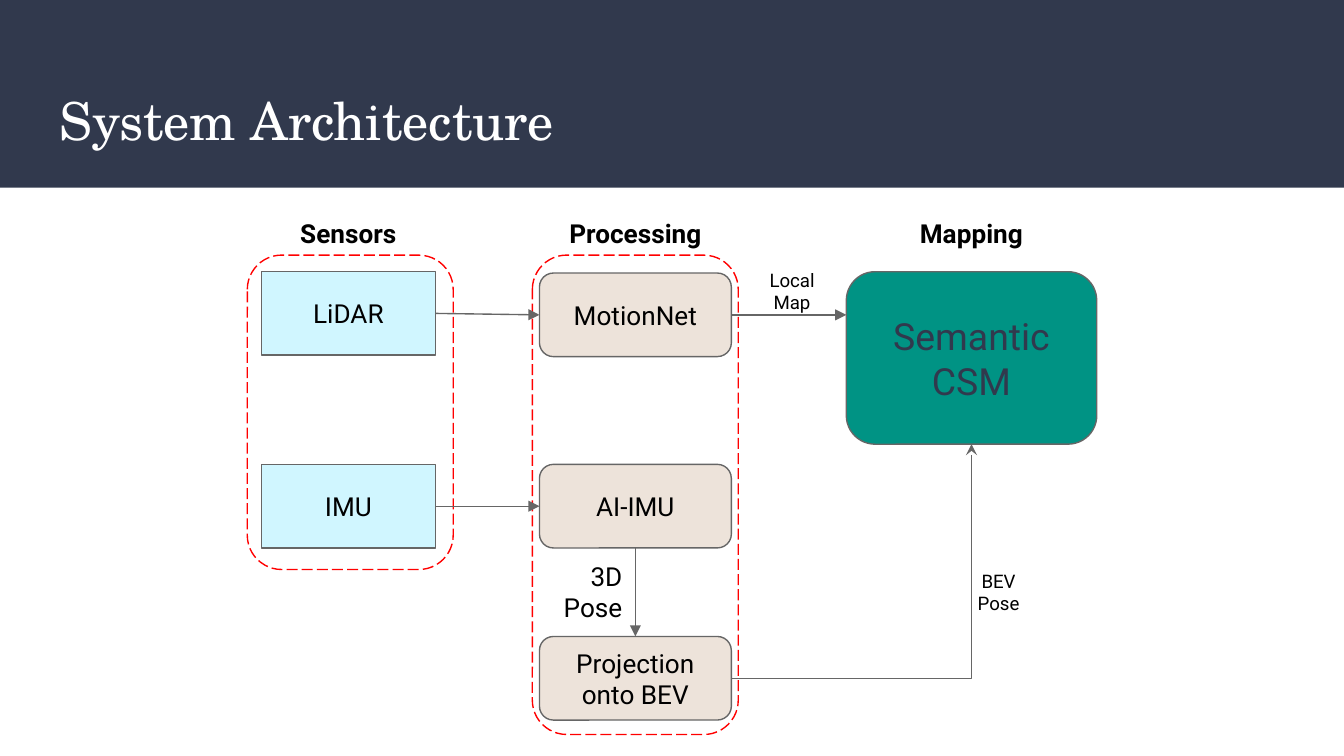
"""Build the System Architecture slide."""
import pptx
import pptx.util
import pptx.dml.color
import pptx.enum.dml
import pptx.enum.shapes
import pptx.enum.text
import pptx.oxml
import pptx.oxml.ns

Pt = pptx.util.Pt
KIND = pptx.enum.shapes.MSO_SHAPE
WIRE = pptx.enum.shapes.MSO_CONNECTOR
ALIGN = pptx.enum.text.PP_ALIGN
FIT = pptx.enum.text.MSO_AUTO_SIZE
MIDDLE = pptx.enum.text.MSO_ANCHOR.MIDDLE
NS = pptx.oxml.ns.nsdecls("a")
TOP, LEFT, BOTTOM, RIGHT = range(4)
HUES = {
    "navy": "31394D", "white": "FFFFFF", "black": "000000", "grey": "666666",
    "sky": "D0F6FF", "sand": "EDE3DA", "teal": "009384", "red": "FF0000",
}


def hue(name):
    """Return the named colour."""
    return pptx.dml.color.RGBColor.from_string(HUES[name])


def write(shape, text, size, color="black", font="Roboto", bold=False, align=ALIGN.CENTER):
    """Put one formatted paragraph into a shape."""
    frame = shape.text_frame
    frame.text = text
    frame.word_wrap = True
    frame.margin_left = frame.margin_right = Pt(7.2)
    frame.margin_top = frame.margin_bottom = Pt(7.2)
    para = frame.paragraphs[0]
    para.alignment = align
    para.font.name, para.font.size, para.font.bold = font, Pt(size), bold
    para.font.color.rgb = hue(color)


def stroke(line, color="grey"):
    """Give a line its colour and width."""
    line.color.rgb = hue(color)
    line.width = Pt(0.75)


def panel(slide, kind, area, fill=None):
    """Add a flat shape without an outline."""
    shape = slide.shapes.add_shape(kind, *map(Pt, area))
    shape.shadow.inherit = False
    if fill:
        shape.fill.solid()
        shape.fill.fore_color.rgb = hue(fill)
    else:
        shape.fill.background()
    shape.line.fill.background()
    return shape


def block(slide, kind, text, area, fill, size=14, color="black"):
    """Add an outlined box with centred text."""
    shape = panel(slide, kind, area, fill)
    stroke(shape.line)
    write(shape, text, size, color)
    shape.text_frame.vertical_anchor = MIDDLE
    return shape


def group(slide, area):
    """Add a dashed red frame."""
    shape = panel(slide, KIND.ROUNDED_RECTANGLE, area)
    stroke(shape.line, "red")
    shape.line.dash_style = pptx.enum.dml.MSO_LINE.LONG_DASH


def label(slide, text, area, size=14, **style):
    """Add a free text label."""
    box = slide.shapes.add_textbox(*map(Pt, area))
    write(box, text, size, **style)
    box.text_frame.auto_size = FIT.SHAPE_TO_FIT_TEXT


def arrow(slide, start, side, end, dock=None, spot=(0, 0), kind=WIRE.STRAIGHT, head="triangle"):
    """Join two boxes, or a box and a spot, with an arrow."""
    link = slide.shapes.add_connector(kind, 0, 0, *map(Pt, spot))
    link.begin_connect(start, side)
    if dock is not None:
        link.end_connect(end, dock)
    stroke(link.line)
    tree = link.element.spPr
    edge = link.line.fill and tree.find(pptx.oxml.ns.qn("a:ln"))
    edge.append(pptx.oxml.parse_xml(f'<a:tailEnd {NS} type="{head}"/>'))
    tree.append(pptx.oxml.parse_xml(f"<a:effectLst {NS}/>"))
    if kind == WIRE.ELBOW:
        tree.find(pptx.oxml.ns.qn("a:prstGeom")).set("prst", "bentConnector2")


def header(slide):
    """Add the dark band and the title."""
    title = slide.shapes.title
    title.left, title.top, title.width, title.height = map(Pt, (24.5, 39.6, 671, 49))
    write(title, "System Architecture", 28, "white", "TeX Gyre Schola", align=ALIGN.LEFT)
    title.text_frame.auto_size = FIT.NONE
    band = panel(slide, KIND.RECTANGLE, (0, 0, 720, 100.5), "navy")
    title.element.addprevious(band.element)


def main():
    """Build and save the slide."""
    deck = pptx.Presentation()
    deck.slide_width, deck.slide_height = Pt(720), Pt(405)
    slide = deck.slides.add_slide(deck.slide_layouts[5])
    header(slide)

    lidar, imu = [
        block(slide, KIND.RECTANGLE, text, (140, y, 93.3, 44.8), "sky")
        for text, y in (("LiDAR", 145.5), ("IMU", 248.8))
    ]
    motion, pose, bev = [
        block(slide, KIND.ROUNDED_RECTANGLE, text, (289, y, 102.8, 44.8), "sand")
        for text, y in (("MotionNet", 146.3), ("AI-IMU", 248.8), ("Projection onto BEV", 341))
    ]
    csm = block(slide, KIND.ROUNDED_RECTANGLE, "Semantic CSM",
                (453.4, 145.6, 134.2, 92.4), "teal", 20, "navy")

    for text, mid in (("Sensors", 186.6), ("Processing", 340.4), ("Mapping", 520.4)):
        label(slide, text, (mid - 46.5, 109.5, 93, 31.7), bold=True)
    for x, tall in ((132.5, 168.4), (285.2, 256.8)):
        group(slide, (x, 136.7, 110.3, tall))

    arrow(slide, lidar, RIGHT, motion, LEFT)
    arrow(slide, imu, RIGHT, pose, LEFT)
    arrow(slide, pose, BOTTOM, bev, TOP)
    arrow(slide, motion, RIGHT, csm, spot=(453.4, 168.7))
    arrow(slide, bev, RIGHT, csm, BOTTOM, kind=WIRE.ELBOW, head="stealth")

    label(slide, "3D Pose", (284.3, 293, 56.2, 48.2), align=ALIGN.RIGHT)
    for text, x, y in (("Local Map", 404.2, 136.8), ("BEV Pose", 514.8, 298)):
        label(slide, text, (x, y, 40.3, 38.9), 10)
    deck.save("out.pptx")


if __name__ == "__main__":
    main()
